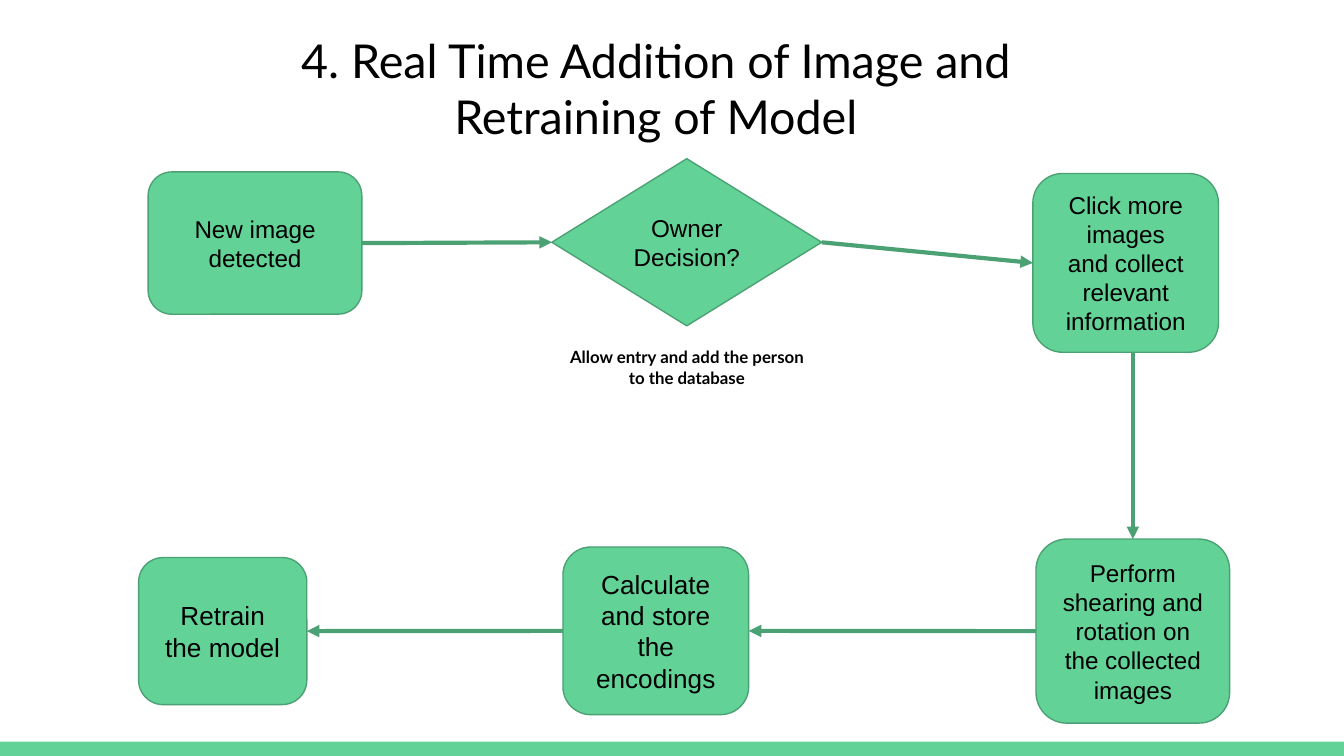
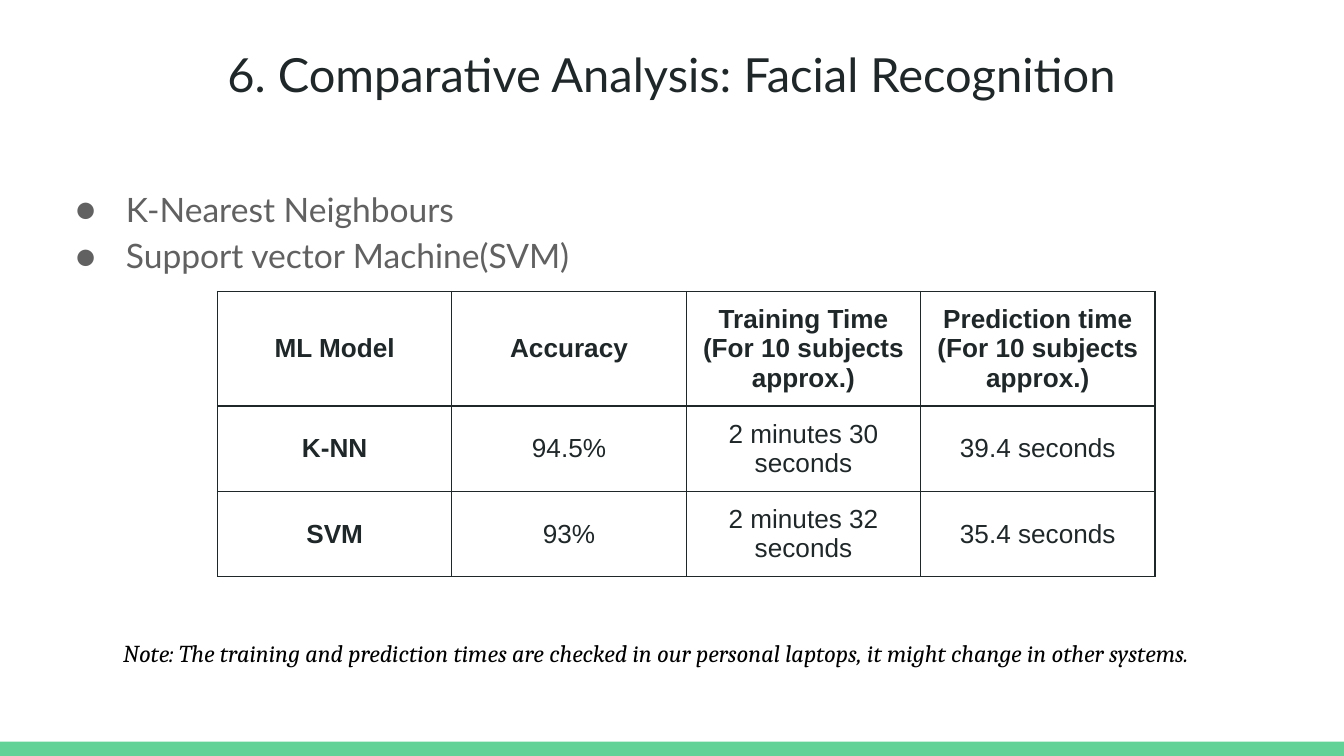
from dataclasses import dataclass

from lxml.etree import SubElement
from pptx import Presentation
from pptx.dml.color import RGBColor
from pptx.enum.shapes import MSO_CONNECTOR, MSO_SHAPE
from pptx.enum.text import MSO_ANCHOR, MSO_AUTO_SIZE, PP_ALIGN
from pptx.oxml.ns import qn
from pptx.util import Cm, Pt

GREEN = "63D297"
DARK_GREEN = "4BA173"
BLACK = "000000"
INK = "202729"
GREY = "616161"
INSET = Cm(0.25)
TOP, LEFT, BOTTOM, RIGHT = range(4)


@dataclass(frozen=True)
class Box:
    left: float
    top: float
    width: float
    height: float

    def lengths(self) -> tuple:
        return Cm(self.left), Cm(self.top), Cm(self.width), Cm(self.height)


@dataclass(frozen=True)
class Style:
    size: float
    font: str = "Arial"
    color: str = BLACK
    bold: bool = False
    italic: bool = False
    align: PP_ALIGN = PP_ALIGN.CENTER


@dataclass(frozen=True)
class Step:
    text: str
    box: Box
    size: float = 13
    shape: MSO_SHAPE = MSO_SHAPE.ROUNDED_RECTANGLE


@dataclass(frozen=True)
class Link:
    start: str
    end: str
    start_site: int
    end_site: int


STEPS = {
    "detect": Step("New image detected", Box(2.8, 3.25, 4.04, 2.69)),
    "collect": Step("Click more images\nand collect relevant information",
                    Box(19.52, 3.28, 3.51, 3.38)),
    "decide": Step("Owner Decision?", Box(10.43, 3, 5.1, 3.16), shape=MSO_SHAPE.DIAMOND),
    "augment": Step("Perform shearing and rotation on the collected images",
                    Box(19.58, 10.19, 3.66, 3.48)),
    "encode": Step("Calculate and store the encodings", Box(10.64, 10.34, 3.51, 3.17), 14),
    "retrain": Step("Retrain the model", Box(2.62, 10.54, 3.18, 2.78), 14),
}

LINKS = [
    Link("detect", "decide", RIGHT, LEFT),
    Link("decide", "collect", RIGHT, LEFT),
    Link("collect", "augment", BOTTOM, TOP),
    Link("augment", "encode", LEFT, RIGHT),
    Link("encode", "retrain", LEFT, RIGHT),
]

RESULTS = [
    ["ML Model", "Accuracy", "Training Time\n(For 10 subjects approx.)",
     "Prediction time\n(For 10 subjects\napprox.)"],
    ["K-NN", "94.5%", "2 minutes 30 seconds", "39.4 seconds"],
    ["SVM", "93%", "2 minutes 32 seconds", "35.4 seconds"],
]


def rgb(color: str) -> RGBColor:
    return RGBColor.from_string(color)


def format_text(tf, style: Style) -> None:
    for p in tf.paragraphs:
        p.alignment = style.align
        for r in p.runs:
            r.font.name = style.font
            r.font.size = Pt(style.size)
            r.font.bold = style.bold
            r.font.italic = style.italic
            r.font.color.rgb = rgb(style.color)


def write(sp, text: str, style: Style, anchor: MSO_ANCHOR = MSO_ANCHOR.TOP) -> None:
    tf = sp.text_frame
    tf.text = text
    tf.word_wrap = True
    tf.auto_size = MSO_AUTO_SIZE.NONE
    tf.vertical_anchor = anchor
    tf.margin_left = tf.margin_right = tf.margin_top = tf.margin_bottom = INSET
    format_text(tf, style)


def place(sp, box: Box) -> None:
    sp.left, sp.top, sp.width, sp.height = box.lengths()


def add_title(slide, text: str, box: Box, style: Style) -> None:
    place(slide.shapes.title, box)
    write(slide.shapes.title, text, style)


def add_text(slide, text: str, box: Box, style: Style,
             anchor: MSO_ANCHOR = MSO_ANCHOR.TOP) -> None:
    write(slide.shapes.add_textbox(*box.lengths()), text, style, anchor)


def add_filled(slide, shape: MSO_SHAPE, box: Box):
    sp = slide.shapes.add_shape(shape, *box.lengths())
    sp.shadow.inherit = False
    sp.fill.solid()
    sp.fill.fore_color.rgb = rgb(GREEN)
    return sp


def add_master_band(prs, slide) -> None:
    band = add_filled(slide, MSO_SHAPE.RECTANGLE, Box(0, 14.02, 25.4, 0.27))
    band.line.fill.background()
    band.element.nvSpPr.cNvPr.set("id", "20")
    prs.slide_master.shapes.element.insert(2, band.element)


def add_step(slide, step: Step):
    sp = add_filled(slide, step.shape, step.box)
    sp.line.color.rgb = rgb(DARK_GREEN)
    sp.line.width = Pt(0.75)
    write(sp, step.text, Style(step.size), MSO_ANCHOR.MIDDLE)
    return sp


def add_link(slide, link: Link, nodes: dict) -> None:
    start, end = nodes[link.start], nodes[link.end]
    line = slide.shapes.add_connector(MSO_CONNECTOR.STRAIGHT, 0, 0, 0, 0)
    line.end_connect(end, link.end_site)
    if link.start_site == BOTTOM:
        line.begin_x, line.begin_y = line.end_x, start.top + start.height
    else:
        line.begin_connect(start, link.start_site)
    line.line.color.rgb = rgb(DARK_GREEN)
    line.line.width = Pt(2.25)
    sp_pr = line.element.spPr
    SubElement(sp_pr.find(qn("a:ln")), qn("a:tailEnd"), type="triangle")
    SubElement(sp_pr, qn("a:effectLst"))


def add_bullets(sp, items: list, box: Box, style: Style) -> None:
    place(sp, box)
    write(sp, "\n".join(items), style)
    for p in sp.text_frame.paragraphs:
        pPr = p._p.get_or_add_pPr()
        pPr.set("marL", str(Cm(1.27)))
        pPr.set("indent", str(-Cm(0.95)))
        SubElement(SubElement(pPr, qn("a:buClr")), qn("a:srgbClr"), val=style.color)
        SubElement(pPr, qn("a:buFont"), typeface=style.font)
        SubElement(pPr, qn("a:buChar"), char="●")
        p.line_spacing = 1.15
        p.space_before = Pt(0)


def add_borders(cell) -> None:
    tcPr = cell._tc.get_or_add_tcPr()
    for i, side in enumerate(("a:lnL", "a:lnR", "a:lnT", "a:lnB")):
        ln = tcPr.makeelement(qn(side), {"w": str(Pt(0.75))})
        SubElement(SubElement(ln, qn("a:solidFill")), qn("a:srgbClr"), val=INK)
        tcPr.insert(i, ln)


def add_results(slide, rows: list, box: Box, heights: list) -> None:
    table = slide.shapes.add_table(len(rows), len(rows[0]), *box.lengths()).table
    table.first_row = table.horz_banding = False
    for row, height in zip(table.rows, heights):
        row.height = Cm(height)
    for i, values in enumerate(rows):
        for j, value in enumerate(values):
            cell = table.cell(i, j)
            cell.text_frame.text = value
            cell.vertical_anchor = MSO_ANCHOR.MIDDLE
            cell.margin_left = cell.margin_right = INSET
            cell.margin_top = cell.margin_bottom = INSET
            cell.fill.background()
            format_text(cell.text_frame, Style(14, color=INK, bold=i == 0 or j == 0))
            add_borders(cell)


def build_flow(prs) -> None:
    slide = prs.slides.add_slide(prs.slide_layouts[5])
    add_master_band(prs, slide)
    add_title(slide, "4. Real Time Addition of Image and Retraining of Model",
              Box(4.04, 0.36, 16.71, 2.64), Style(25, "Lato"))
    nodes = {name: add_step(slide, step) for name, step in STEPS.items()}
    add_text(slide, "Allow entry and add the person to the database",
             Box(10.43, 6.17, 5.1, 1.55), Style(9, "Lato", bold=True), MSO_ANCHOR.MIDDLE)
    for link in LINKS:
        add_link(slide, link, nodes)


def build_comparison(prs) -> None:
    slide = prs.slides.add_slide(prs.slide_layouts[1])
    add_title(slide, "6. Comparative Analysis: Facial Recognition",
              Box(0.86, 0.61, 23.67, 1.6), Style(25.2, "Lato", INK))
    add_bullets(slide.placeholders[1], ["K-Nearest Neighbours", "Support vector Machine(SVM)"],
                Box(0.86, 3.2, 23.67, 10.24), Style(18, "Lato", GREY, align=PP_ALIGN.LEFT))
    add_results(slide, RESULTS, Box(4.11, 5.51, 17.72, 4.77), [1.93, 1.42, 1.42])
    add_text(slide, "Note: The training and prediction times are checked in our personal laptops, "
             "it might change in other systems.", Box(2.08, 11.81, 21.77, 1.63),
             Style(13, "Cambria", italic=True, align=PP_ALIGN.LEFT))


def main() -> None:
    prs = Presentation()
    prs.slide_width, prs.slide_height = Cm(25.4), Cm(14.29)
    build_flow(prs)
    build_comparison(prs)
    prs.save("out.pptx")


if __name__ == "__main__":
    main()
